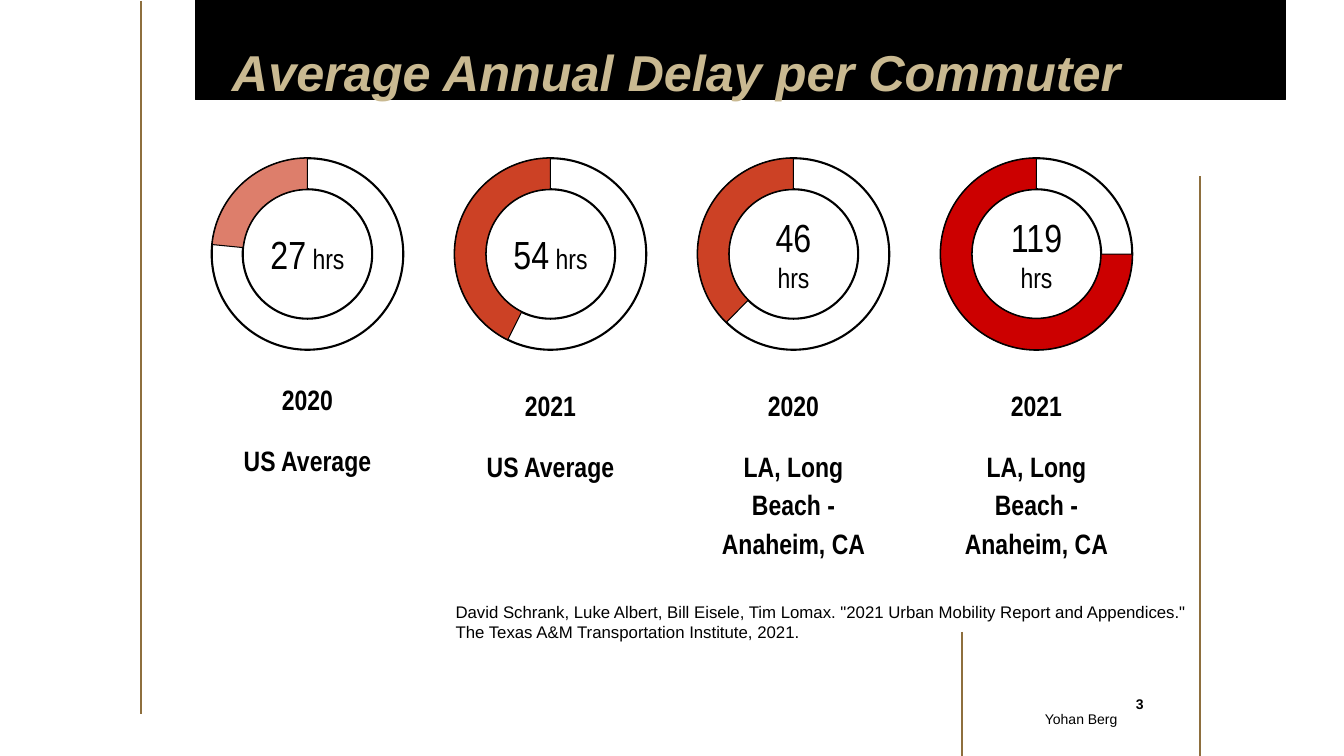
from pptx import Presentation
from pptx.dml.color import RGBColor
from pptx.enum.shapes import MSO_CONNECTOR, MSO_SHAPE
from pptx.enum.text import MSO_ANCHOR, MSO_AUTO_SIZE, PP_ALIGN
from pptx.oxml.ns import qn
from pptx.util import Pt
from lxml.etree import SubElement

PX = 9144
COLORS = {
    "black": "000000",
    "rule": "8E6F3E",
    "title": "C9B991",
    "light": "DD7E6B",
    "medium": "CC4125",
    "strong": "CC0000",
}
RING_TOP, RING_SIZE = 157, 190
FIRST_LEFT, COLUMN_STEP = 210, 241
RING_WIDTH = 0.162
TOP_DEGREES = 269.97
ADJUST_PER_DEGREE = 0.6

US = "US Average"
LOS_ANGELES = "LA, Long Beach - Anaheim, CA"
DELAYS = [
    ([[("27", 28), (" hrs", 20)]], 185.64, "light", "2020", US, 364),
    ([[("54", 28), (" hrs", 20)]], 116.42, "medium", "2021", US, 370),
    ([[("46", 28)], [("hrs", 20)]], 134.43, "medium", "2020", LOS_ANGELES, 370),
    ([[("119 ", 28), ("hrs", 20)]], 0.15, "strong", "2021", LOS_ANGELES, 370),
]
RULES = [(140, 1, 708), (954, 627, 750), (1190, 175, 750)]


def px(*lengths):
    return [length * PX for length in lengths]


def color(name):
    return RGBColor.from_string(COLORS[name])


def add_run(paragraph, text, size, font="Arial", tint="black", bold=False, italic=False):
    run = paragraph.add_run()
    run.text = text
    run.font.name = font
    run.font.size = Pt(size)
    run.font.bold = bold
    run.font.italic = italic
    run.font.color.rgb = color(tint)


def set_margins(frame, horizontal, vertical):
    frame.margin_left = frame.margin_right = horizontal * PX
    frame.margin_top = frame.margin_bottom = vertical * PX


def add_text_box(slide, box, paragraphs, align, anchor=MSO_ANCHOR.TOP,
                 margins=(10, 10), font="Arial", bold=False):
    frame = slide.shapes.add_textbox(*px(*box)).text_frame
    frame.word_wrap = True
    frame.vertical_anchor = anchor
    set_margins(frame, *margins)
    for index, runs in enumerate(paragraphs):
        paragraph = frame.add_paragraph() if index else frame.paragraphs[0]
        paragraph.alignment = align
        for text, size in runs:
            add_run(paragraph, text, size, font, bold=bold)
    return frame


def add_preset(slide, preset, box, line_width, fill=None):
    shape = slide.shapes.add_shape(preset, *px(*box))
    shape.shadow.inherit = False
    if fill:
        shape.fill.solid()
        shape.fill.fore_color.rgb = color(fill)
    else:
        shape.fill.background()
    shape.line.color.rgb = color("black")
    shape.line.width = Pt(line_width)
    return shape


def add_rule(slide, x, top, bottom):
    connector = slide.shapes.add_connector(MSO_CONNECTOR.STRAIGHT, *px(x, top, x, bottom))
    connector.line.color.rgb = color("rule")
    connector.line.width = Pt(1)
    SubElement(connector._element.spPr, qn("a:effectLst"))


def add_title(slide, text):
    title = slide.shapes.title
    title.left, title.top, title.width, title.height = px(230, 48, 927, 109)
    frame = title.text_frame
    frame.word_wrap = True
    frame.auto_size = MSO_AUTO_SIZE.NONE
    frame.vertical_anchor = MSO_ANCHOR.TOP
    set_margins(frame, 0, 0)
    paragraph = frame.paragraphs[0]
    paragraph.alignment = PP_ALIGN.LEFT
    paragraph.line_spacing = 0.9
    add_run(paragraph, text, 36, tint="title", bold=True, italic=True)


def add_ring(slide, left, start_degrees, fill, hours):
    box = (left, RING_TOP, RING_SIZE, RING_SIZE)
    donut = add_preset(slide, MSO_SHAPE.DONUT, box, 1.5)
    donut.adjustments[0] = RING_WIDTH
    arc = add_preset(slide, MSO_SHAPE.BLOCK_ARC, box, 0.75, fill)
    arc.adjustments[0] = start_degrees * ADJUST_PER_DEGREE
    arc.adjustments[1] = TOP_DEGREES * ADJUST_PER_DEGREE
    arc.adjustments[2] = RING_WIDTH
    add_text_box(slide, (left + 46, 231, 98, 42), hours, PP_ALIGN.CENTER,
                 MSO_ANCHOR.MIDDLE, font="Arial Narrow")


def add_caption(slide, left, top, year, region):
    frame = add_text_box(slide, (left + 5, top, 180, 57), [[(year, 20)], [(region, 20)]],
                         PP_ALIGN.CENTER, font="Arial Narrow", bold=True)
    for paragraph in frame.paragraphs:
        paragraph.line_spacing = 1.15
    region_paragraph = frame.paragraphs[1]
    region_paragraph.space_before = region_paragraph.space_after = Pt(16)


def main():
    presentation = Presentation()
    presentation.slide_width, presentation.slide_height = px(1333, 750)
    slide = presentation.slides.add_slide(presentation.slide_layouts[5])

    banner = add_preset(slide, MSO_SHAPE.RECTANGLE, (194, 0, 1081, 99), 1, "black")
    slide.shapes.title._element.addprevious(banner._element)
    for rule in RULES:
        add_rule(slide, *rule)
    add_title(slide, "Average Annual Delay per Commuter")

    for column, (hours, degrees, fill, year, region, caption_top) in enumerate(DELAYS):
        left = FIRST_LEFT + column * COLUMN_STEP
        add_ring(slide, left, degrees, fill, hours)
        add_caption(slide, left, caption_top, year, region)

    citation = ('David Schrank, Luke Albert, Bill Eisele, Tim Lomax. "2021 Urban Mobility '
                'Report and Appendices." The Texas A&M Transportation Institute, 2021.')
    add_text_box(slide, (442, 587, 764, 61), [[(citation, 12)]], PP_ALIGN.LEFT)
    add_text_box(slide, (1104, 678, 53, 40), [[("3", 10)]], PP_ALIGN.CENTER,
                 MSO_ANCHOR.MIDDLE, (2, 5), bold=True)
    add_text_box(slide, (956, 693, 162, 40), [[("Yohan Berg", 10)]], PP_ALIGN.RIGHT,
                 MSO_ANCHOR.MIDDLE, (10, 5))

    presentation.save("out.pptx")


if __name__ == "__main__":
    main()
